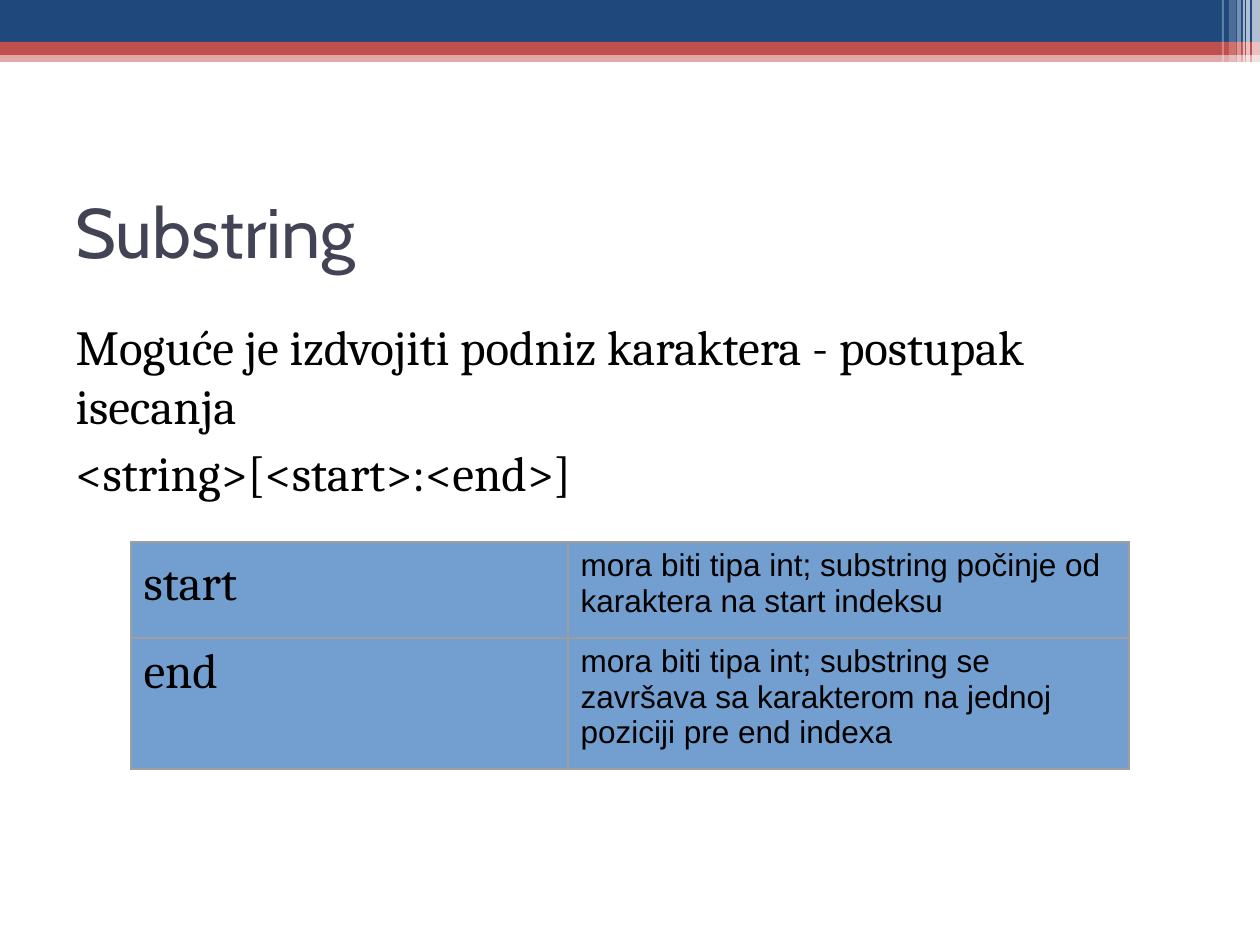
"""Build the Substring slide with its header band and parameter table."""
from lxml import etree
from pptx import Presentation
from pptx.dml.color import RGBColor
from pptx.enum.shapes import MSO_SHAPE
from pptx.enum.text import MSO_ANCHOR, MSO_AUTO_SIZE, PP_ALIGN
from pptx.oxml.ns import qn
from pptx.util import Pt

RECT = MSO_SHAPE.RECTANGLE
TOP, MIDDLE = MSO_ANCHOR.TOP, MSO_ANCHOR.MIDDLE
LEFT = PP_ALIGN.LEFT
NO_FIT = MSO_AUTO_SIZE.NONE
SCALE = 914400 / 126

COLORS = {
    "navy": "1F497D", "red": "C0504D", "white": "FFFFFF", "title": "424456",
    "text": "000000", "cell": "729FCF", "border": "9E9E9E",
}
TITLE = {"name": "Cabin", "size": Pt(40), "color": "title"}
BODY = {"name": "Cambria", "size": Pt(28), "color": "text"}
NOTE = {"name": "Arial", "size": Pt(18), "color": "text"}

BANDS = [
    (0, 50, 1260, 12, "red", 49),
    (0, 0, 1260, 42, "navy", 100),
    (0, 42, 1260, 13, "red", 100),
    (1252, 0, 8, 86, "white", 65),
    (1246, 0, 4, 86, "white", 65),
    (1243, 0, 2, 86, "white", 60),
    (1237, 0, 4, 86, "white", 40),
    (1229, 0, 7, 81, "white", 20),
    (1222, 0, 2, 81, "white", 30),
]
LINES = [
    ("Moguće je izdvojiti podniz karaktera - postupak isecanja", BODY, 1.0),
    ("<string>[<start>:<end>]", BODY, 1.15),
]
ROWS = [
    [("start", BODY, 1.15),
     ("mora biti tipa int; substring počinje od karaktera na start indeksu",
      NOTE, 1.0)],
    [("end", BODY, 1.0),
     ("mora biti tipa int; substring se završava sa karakterom na jednoj "
      "poziciji pre end indexa", NOTE, 1.0)],
]
COL_WIDTHS = [437, 561]
ROW_HEIGHTS = [96, 131]


def px(n):
    return round(n * SCALE)


def rgb(key):
    return RGBColor.from_string(COLORS[key])


def add_band(slide, x, y, w, h, color, opacity):
    sp = slide.shapes.add_shape(RECT, px(x), px(y), px(w), px(h))
    sp.shadow.inherit = False
    sp.line.fill.background()
    sp.fill.solid()
    sp.fill.fore_color.rgb = rgb(color)
    if opacity < 100:
        clr = sp.fill._xPr.find(".//" + qn("a:srgbClr"))
        etree.SubElement(clr, qn("a:alpha"), val=str(opacity * 1000))


def write_lines(tf, lines):
    for i, (text, fmt, spacing) in enumerate(lines):
        p = tf.add_paragraph() if i else tf.paragraphs[0]
        p.alignment = LEFT
        p.line_spacing = spacing
        p.space_before = Pt(0)
        r = p.add_run()
        r.text = text
        for key, value in fmt.items():
            if key == "color":
                r.font.color.rgb = rgb(value)
            else:
                setattr(r.font, key, value)


def fill_placeholder(sp, box, anchor, lines):
    sp.left, sp.top, sp.width, sp.height = map(px, box)
    tf = sp.text_frame
    for key, value in {"word_wrap": True, "auto_size": NO_FIT,
                       "vertical_anchor": anchor}.items():
        setattr(tf, key, value)
    write_lines(tf, lines)
    for p in tf.paragraphs:
        pPr = p._p.get_or_add_pPr()
        pPr.set("marL", "0")
        pPr.set("indent", "0")
        etree.SubElement(pPr, qn("a:buNone"))


def set_borders(cell):
    tcPr = cell._tc.get_or_add_tcPr()
    for i, side in enumerate(("a:lnL", "a:lnR", "a:lnT", "a:lnB")):
        ln = etree.Element(qn(side), w=str(Pt(0.74)))
        fill = etree.SubElement(ln, qn("a:solidFill"))
        etree.SubElement(fill, qn("a:srgbClr"), val=COLORS["border"])
        tcPr.insert(i, ln)


def add_parameter_table(slide, x, y):
    table = slide.shapes.add_table(
        len(ROW_HEIGHTS), len(COL_WIDTHS), px(x), px(y),
        px(sum(COL_WIDTHS)), px(sum(ROW_HEIGHTS))).table
    table.first_row = False
    table.horz_banding = False
    for col, width in zip(table.columns, COL_WIDTHS):
        col.width = px(width)
    for row, height, content in zip(table.rows, ROW_HEIGHTS, ROWS):
        row.height = px(height)
        for cell, line in zip(row.cells, content):
            cell.fill.solid()
            cell.fill.fore_color.rgb = rgb("cell")
            set_borders(cell)
            write_lines(cell.text_frame, [line])


def main():
    prs = Presentation()
    prs.slide_width, prs.slide_height = px(1260), px(945)
    slide = prs.slides.add_slide(prs.slide_layouts[1])
    for band in BANDS:
        add_band(slide, *band)
    title, body = slide.placeholders
    fill_placeholder(title, (63, 158, 1134, 146), MIDDLE,
                     [("Substring", TITLE, 1.0)])
    fill_placeholder(body, (63, 310, 1134, 596), TOP, LINES)
    add_parameter_table(slide, 131, 542)
    prs.save("out.pptx")


main()
